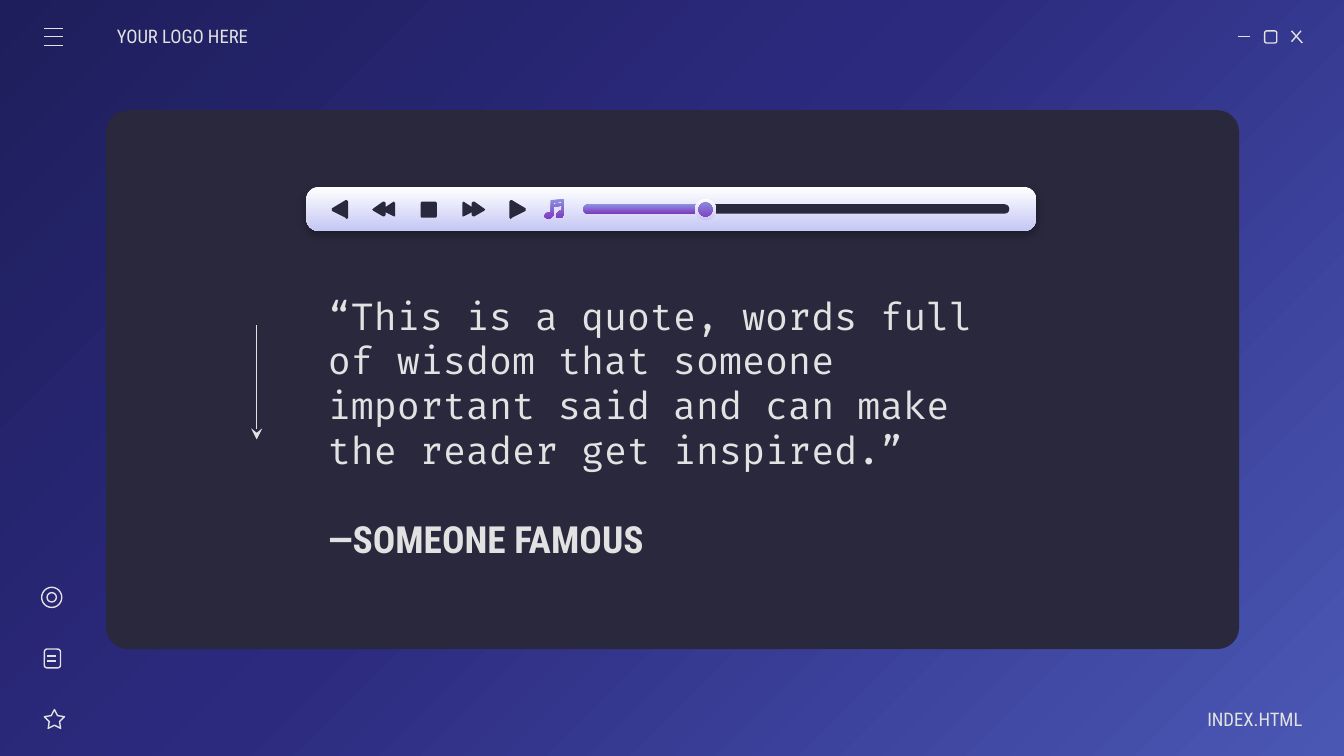
"""Build a quote slide styled as a media player window."""
from dataclasses import dataclass
from typing import Optional, Sequence, Union

import pptx
import pptx.dml.color
import pptx.enum.shapes
import pptx.enum.text
import pptx.oxml
import pptx.oxml.ns
import pptx.util

Inches = pptx.util.Inches
Kind = pptx.enum.shapes.MSO_SHAPE
Align = pptx.enum.text.PP_ALIGN
Points = Sequence[tuple[float, float]]
Fill = Union[str, tuple[str, str], None]


@dataclass(frozen=True)
class Theme:
    backdrop: tuple = ((0, "1E1E5C"), (46, "2C2A7F"), (100, "4A58B4"))
    panel: str = "29283D"
    light: str = "E2E2E2"
    silver: tuple[str, str] = ("FFFFFF", "C5C7F4")
    violet: tuple[str, str] = ("8D90E1", "7E3BBE")
    heading_font: str = "Roboto Condensed"
    quote_font: str = "Fira Code"
    quote_size: int = 20
    label_size: int = 10
    stroke: float = 0.75


@dataclass(frozen=True)
class Part:
    kind: Kind
    left: float
    top: float
    width: float
    height: float
    fill: Fill = None
    adjust: Optional[float] = None


@dataclass(frozen=True)
class Stroke:
    x1: float
    y1: float
    x2: float
    y2: float


@dataclass(frozen=True)
class Label:
    text: str
    left: float
    top: float
    width: float
    height: float
    size: int
    font: str
    bold: bool = False
    align: Align = Align.LEFT
    inset_left: float = 0.1
    inset_right: float = 0.1


THEME = Theme()
MIRROR_SUM = 6.38

PANEL = Part(Kind.ROUNDED_RECTANGLE, 0.79, 0.82, 8.43, 4.01, THEME.panel, 0.04)
PLAYER = Part(Kind.ROUNDED_RECTANGLE, 2.28, 1.39, 5.43, 0.33, THEME.silver, 0.285)
OUTLINED_ICONS = [
    Part(Kind.ROUNDED_RECTANGLE, 9.41, 0.23, 0.09, 0.09, adjust=0.167),
    Part(Kind.STAR_5_POINT, 0.33, 5.28, 0.15, 0.14, adjust=0.254),
    Part(Kind.ROUNDED_RECTANGLE, 0.33, 4.83, 0.12, 0.14, adjust=0.167),
    Part(Kind.OVAL, 0.31, 4.37, 0.15, 0.15),
    Part(Kind.OVAL, 0.35, 4.41, 0.07, 0.07),
]
PLAYER_PARTS = [
    Part(Kind.ROUNDED_RECTANGLE, 4.34, 1.52, 3.17, 0.07, THEME.panel, 0.5),
    Part(Kind.ROUNDED_RECTANGLE, 4.34, 1.52, 0.95, 0.07, THEME.violet, 0.5),
    Part(Kind.OVAL, 5.18, 1.49, 0.14, 0.14, THEME.violet),
    Part(Kind.DONUT, 5.17, 1.48, 0.16, 0.16, THEME.silver, 0.12),
    Part(Kind.ROUNDED_RECTANGLE, 3.13, 1.5, 0.12, 0.12, THEME.panel, 0.1),
]
ICON_STROKES = [
    Stroke(9.21, 0.27, 9.3, 0.27),
    Stroke(9.61, 0.23, 9.69, 0.32),
    Stroke(9.68, 0.23, 9.61, 0.31),
    *(Stroke(0.33, y, 0.47, y) for y in (0.21, 0.27, 0.34)),
    *(Stroke(0.35, y, 0.42, y) for y in (4.88, 4.92)),
]
QUOTE_ARROW = Stroke(1.91, 2.42, 1.91, 3.27)

BACK = [(2.47, 1.55), (2.57, 1.49), (2.58, 1.49), (2.59, 1.5), (2.59, 1.62),
        (2.58, 1.63), (2.57, 1.62), (2.47, 1.57)]
REWIND = [(2.77, 1.56), (2.78, 1.55), (2.85, 1.5), (2.86, 1.5), (2.87, 1.51),
          (2.87, 1.54), (2.93, 1.5), (2.94, 1.51), (2.94, 1.61), (2.93, 1.61),
          (2.87, 1.58), (2.87, 1.6), (2.86, 1.61), (2.85, 1.61), (2.78, 1.57)]
NOTE = [(4.19, 1.48), (4.1, 1.49), (4.1, 1.58), (4.08, 1.58), (4.06, 1.59),
        (4.05, 1.61), (4.06, 1.62), (4.08, 1.63), (4.1, 1.62), (4.12, 1.6),
        (4.12, 1.54), (4.18, 1.53), (4.18, 1.57), (4.16, 1.57), (4.14, 1.59),
        (4.14, 1.62), (4.16, 1.62), (4.18, 1.62), (4.2, 1.59), (4.2, 1.49)]
NOTE_GAP = [(4.18, 1.5), (4.18, 1.51), (4.12, 1.52), (4.12, 1.51)]

AUTHOR = Label("—SOMEONE FAMOUS", 2.34, 3.78, 5.31, 0.45,
               THEME.quote_size, THEME.heading_font, bold=True)
QUOTE = Label("“This is a quote, words full of wisdom that someone important said "
              "and can make the reader get inspired.”", 2.34, 1.91, 5.31, 1.87,
              THEME.quote_size, THEME.quote_font)
CORNER_LABELS = [
    Label("YOUR LOGO HERE", 0.87, 0.12, 1.17, 0.3, THEME.label_size,
          THEME.heading_font, inset_left=0),
    Label("INDEX.HTML", 8.52, 5.2, 1.17, 0.3, THEME.label_size,
          THEME.heading_font, align=Align.RIGHT, inset_right=0),
]


def rgb(value: str) -> pptx.dml.color.RGBColor:
    """Turn a hex string into a colour."""
    return pptx.dml.color.RGBColor.from_string(value)


def drawing_xml(tag: str, attributes: str = "", inner: str = ""):
    """Make one DrawingML element."""
    namespace = pptx.oxml.ns.nsdecls("a")
    return pptx.oxml.parse_xml(f"<a:{tag} {namespace} {attributes}>{inner}</a:{tag}>")


def paint_backdrop(slide) -> None:
    """Fill the background with a gradient that spreads from the top left."""
    slide.background.fill.solid()
    stops = "".join(f'<a:gs pos="{position * 1000}"><a:srgbClr val="{color}"/></a:gs>'
                    for position, color in THEME.backdrop)
    gradient = drawing_xml(
        "gradFill", 'rotWithShape="1"',
        f'<a:gsLst>{stops}</a:gsLst><a:path path="circle">'
        '<a:fillToRect r="100000" b="100000"/></a:path>')
    solid = slide.element.xpath("p:cSld/p:bg/p:bgPr/a:solidFill")[0]
    solid.getparent().replace(solid, gradient)


def paint(shape, fill: Fill) -> None:
    """Apply a flat or vertical gradient fill, or an outline when there is none."""
    if fill is None:
        shape.fill.background()
        shape.line.color.rgb = rgb(THEME.light)
        shape.line.width = pptx.util.Pt(THEME.stroke)
    else:
        shape.line.fill.background()
        if isinstance(fill, str):
            shape.fill.solid()
            shape.fill.fore_color.rgb = rgb(fill)
        else:
            shape.fill.gradient()
            shape.fill.gradient_angle = 270
            for stop, color in zip(shape.fill.gradient_stops, fill):
                stop.color.rgb = rgb(color)
    shape.shadow.inherit = False


def draw_part(slide, part: Part):
    """Draw a preset shape."""
    shape = slide.shapes.add_shape(part.kind, Inches(part.left), Inches(part.top),
                                   Inches(part.width), Inches(part.height))
    if part.adjust is not None:
        shape.adjustments[0] = part.adjust
    paint(shape, part.fill)
    return shape


def draw_outline(slide, fill: Fill, *contours: Points) -> None:
    """Draw a filled outline made of closed contours."""
    first, *holes = [[(Inches(x), Inches(y)) for x, y in contour] for contour in contours]
    builder = slide.shapes.build_freeform(*first[0])
    builder.add_line_segments(first[1:], close=True)
    for hole in holes:
        builder.move_to(*hole[0]).add_line_segments(hole[1:], close=True)
    paint(builder.convert_to_shape(), fill)


def draw_stroke(slide, stroke: Stroke):
    """Draw a thin straight line."""
    connector = slide.shapes.add_connector(
        pptx.enum.shapes.MSO_CONNECTOR.STRAIGHT, Inches(stroke.x1), Inches(stroke.y1),
        Inches(stroke.x2), Inches(stroke.y2))
    connector.line.color.rgb = rgb(THEME.light)
    connector.line.width = pptx.util.Pt(THEME.stroke)
    connector.element.spPr.append(drawing_xml("effectLst"))
    return connector


def write_label(box, label: Label) -> None:
    """Place a text holder and set its wording and type."""
    box.left, box.top = Inches(label.left), Inches(label.top)
    box.width, box.height = Inches(label.width), Inches(label.height)
    frame = box.text_frame
    frame.text = label.text
    frame.word_wrap = True
    frame.auto_size = pptx.enum.text.MSO_AUTO_SIZE.NONE
    frame.vertical_anchor = pptx.enum.text.MSO_ANCHOR.MIDDLE
    frame.margin_left, frame.margin_right = Inches(label.inset_left), Inches(label.inset_right)
    frame.margin_top = frame.margin_bottom = Inches(0.1)
    paragraph = frame.paragraphs[0]
    paragraph.alignment = label.align
    paragraph.space_before = pptx.util.Pt(0)
    paragraph.font.name = label.font
    paragraph.font.size = pptx.util.Pt(label.size)
    paragraph.font.bold = label.bold
    paragraph.font.color.rgb = rgb(THEME.light)


def draw_player(slide) -> None:
    """Draw the player bar with its track and buttons."""
    bar = draw_part(slide, PLAYER)
    bar.element.spPr.xpath("a:effectLst")[0].append(drawing_xml(
        "outerShdw", 'blurRad="57150" dist="19050" dir="5400000" algn="bl" rotWithShape="0"',
        '<a:srgbClr val="000000"><a:alpha val="30000"/></a:srgbClr>'))
    for part in PLAYER_PARTS:
        draw_part(slide, part)
    draw_outline(slide, THEME.violet, NOTE, NOTE_GAP)
    for button in (BACK, REWIND):
        draw_outline(slide, THEME.panel, button)
        draw_outline(slide, THEME.panel, [(MIRROR_SUM - x, y) for x, y in button])


def main() -> None:
    """Build and save the slide."""
    deck = pptx.Presentation()
    deck.slide_width, deck.slide_height = Inches(10), Inches(10) * 9 // 16
    slide = deck.slides.add_slide(deck.slide_layouts[0])
    paint_backdrop(slide)
    panel = draw_part(slide, PANEL)
    slide.shapes.title.element.addprevious(panel.element)
    write_label(slide.shapes.title, AUTHOR)
    write_label(slide.placeholders[1], QUOTE)
    for label in CORNER_LABELS:
        write_label(slide.shapes.add_textbox(0, 0, 0, 0), label)
    for icon in OUTLINED_ICONS:
        draw_part(slide, icon)
    for stroke in ICON_STROKES:
        draw_stroke(slide, stroke)
    arrow = draw_stroke(slide, QUOTE_ARROW)
    arrow.element.spPr.xpath("a:ln")[0].append(drawing_xml("tailEnd", 'type="stealth"'))
    draw_player(slide)
    deck.save("out.pptx")


if __name__ == "__main__":
    main()
